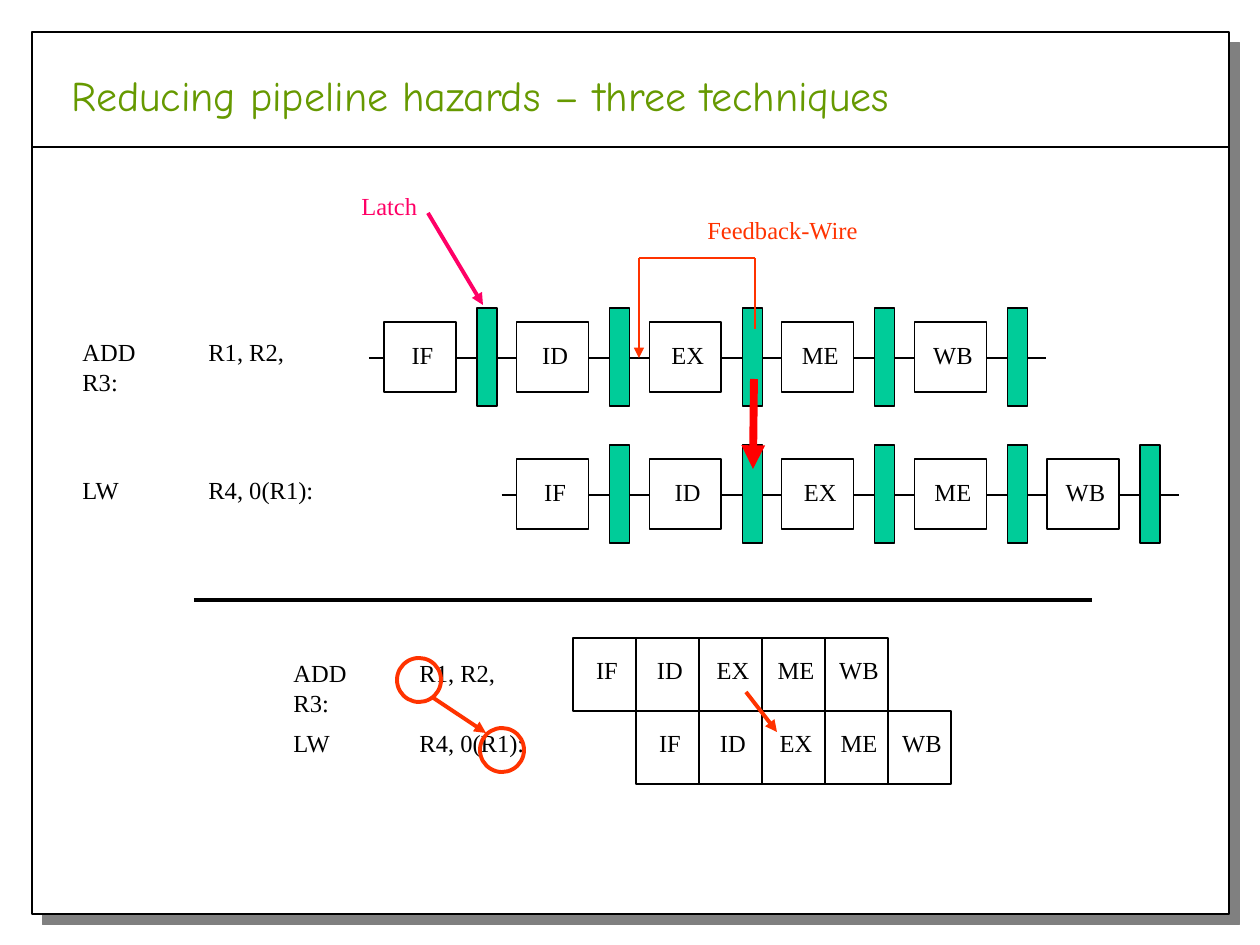
from itertools import pairwise

from lxml.etree import SubElement
from pptx import Presentation
from pptx.dml.color import RGBColor
from pptx.enum.shapes import MSO_CONNECTOR, MSO_SHAPE
from pptx.enum.text import MSO_ANCHOR, MSO_AUTO_SIZE, PP_ALIGN
from pptx.oxml.ns import qn
from pptx.util import Pt

PX = 914400 / 126
SERIF, HAND = "Times New Roman", "Comic Neue"
BLACK, WHITE, GREEN = "000000", "FFFFFF", "00CC99"
ORANGE, RED, PINK = "FF3300", "FF0000", "FF0066"

TITLE = "Reducing pipeline hazards – three techniques"
STAGES = ["IF", "ID", "EX", "ME", "WB"]
ADD, LW = "ADD\tR1, R2, R3:", "LW\tR4, 0(R1):"

PITCH, ROW_GAP = 132.6, 137
CELL_W, CELL_H = 63, 73
TAB = 126

LABELS = [
    (ADD, 70, 331, 268, BLACK),
    (LW, 70, 469, 256, BLACK),
    (ADD, 281, 652, 268, BLACK),
    (LW, 281, 722, 256, BLACK),
    ("Feedback-Wire", 695, 209, 176, ORANGE),
    ("Latch", 349, 185, 81, PINK),
]
FEEDBACK = [(755, 329), (755, 258), (639, 258), (639, 358)]
ARROWS = [
    (754, 379, 753, 469, RED, 4.5),
    (746, 692, 777, 732, ORANGE, 2.25),
    (432, 697, 486, 733, ORANGE, 2.25),
    (428, 213, 483, 305, PINK, 2.25),
]
CIRCLES = [(397, 658), (480, 728)]


def emu(*lengths):
    return [round(n * PX) for n in lengths]


def rgb(color):
    return RGBColor.from_string(color)


def write(sp, text, size=14, font=SERIF, color=BLACK, align=PP_ALIGN.LEFT):
    tf = sp.text_frame
    tf.word_wrap = False
    p = tf.paragraphs[0]
    p.text = text
    p.alignment = align
    if "\t" in text:
        tabs = SubElement(p._p.get_or_add_pPr(), qn("a:tabLst"))
        SubElement(tabs, qn("a:tab"), pos=str(emu(TAB)[0]), algn="l")
    p.font.size = Pt(size)
    p.font.name = font
    p.font.color.rgb = rgb(color)
    return tf


def add_label(text, x, y, w, color):
    tf = write(slide.shapes.add_textbox(*emu(x, y, w, 43)), text, color=color)
    tf.auto_size = MSO_AUTO_SIZE.SHAPE_TO_FIT_TEXT


def add_box(x, y, w, h, fill=WHITE, text="", lift=4, kind=MSO_SHAPE.RECTANGLE, line=BLACK, width=0.75):
    sp = slide.shapes.add_shape(kind, *emu(x, y, w, h))
    sp.shadow.inherit = False
    if fill:
        sp.fill.solid()
        sp.fill.fore_color.rgb = rgb(fill)
    else:
        sp.fill.background()
    sp.line.color.rgb = rgb(line)
    sp.line.width = Pt(width)
    if text:
        tf = write(sp, text, align=PP_ALIGN.CENTER)
        tf.vertical_anchor = MSO_ANCHOR.MIDDLE
        tf.margin_left, tf.margin_right, tf.margin_top, tf.margin_bottom = emu(5, 0, 0, lift)
    return sp


def add_line(x1, y1, x2, y2, color=BLACK, width=0.75, arrow=False):
    line = slide.shapes.add_connector(MSO_CONNECTOR.STRAIGHT, *emu(x1, y1, x2, y2))
    line.line.color.rgb = rgb(color)
    line.line.width = Pt(width)
    if arrow:
        SubElement(line.line._get_or_add_ln(), qn("a:tailEnd"), type="triangle")
    SubElement(line._element.spPr, qn("a:effectLst"))


def add_frame():
    frame = add_box(32, 32, 1197, 882)
    effects = frame._element.spPr.find(qn("a:effectLst"))
    shadow = SubElement(effects, qn("a:outerShdw"), dist=str(Pt(8.5)), dir="2700000", algn="ctr", rotWithShape="0")
    SubElement(shadow, qn("a:srgbClr"), val="808080")
    add_line(32, 147, 1229, 147)


def add_title():
    title = slide.shapes.title
    slide.shapes._spTree.append(title._element)
    title.left, title.top, title.width, title.height = emu(59, 63, 848, 63)
    tf = write(title, TITLE, 24, HAND, "669900")
    tf.vertical_anchor = MSO_ANCHOR.TOP
    tf.auto_size = MSO_AUTO_SIZE.SHAPE_TO_FIT_TEXT


def add_pipeline(row):
    x, y = 369 + row * PITCH, 358 + row * ROW_GAP
    add_line(x, y, x + 677, y)
    for i, stage in enumerate(STAGES):
        left = x + i * PITCH
        add_box(left + 15, y - 36, 72, 70, text=stage)
        add_box(left + 108, y - 50, 20, 98, GREEN)


def add_schedule(row):
    for i, stage in enumerate(STAGES):
        add_box(573 + (i + row) * CELL_W, 638 + row * CELL_H, CELL_W, CELL_H, text=stage, lift=10)


prs = Presentation()
prs.slide_width, prs.slide_height = emu(1260, 945)
slide = prs.slides.add_slide(prs.slide_layouts[5])

add_frame()
add_title()
for row in range(2):
    add_pipeline(row)
    add_schedule(row)
add_line(194, 600, 1092, 600, width=2.25)
for label in LABELS:
    add_label(*label)
for start, end in pairwise(FEEDBACK):
    add_line(*start, *end, ORANGE, 1.5, arrow=end == FEEDBACK[-1])
for x, y in CIRCLES:
    add_box(x, y, 44, 44, None, kind=MSO_SHAPE.OVAL, line=ORANGE, width=2.25)
for arrow in ARROWS:
    add_line(*arrow, arrow=True)

prs.save("out.pptx")
